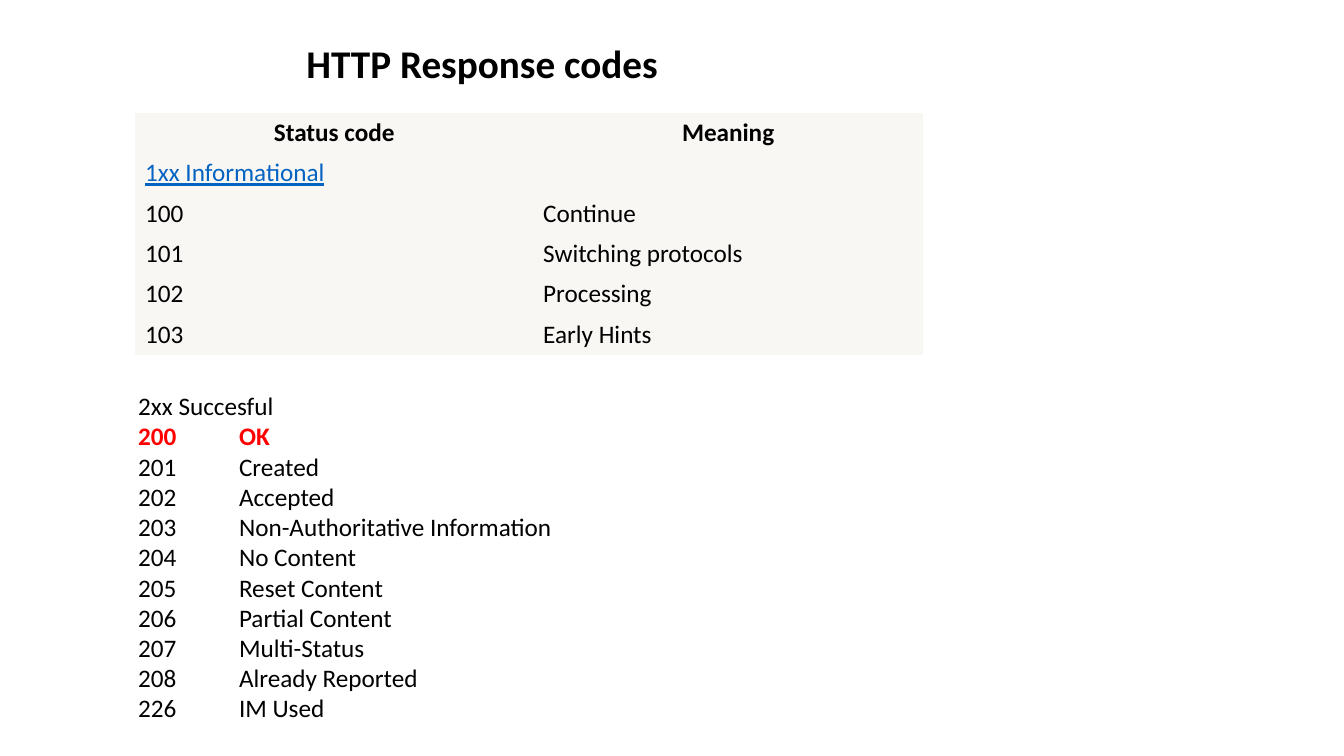
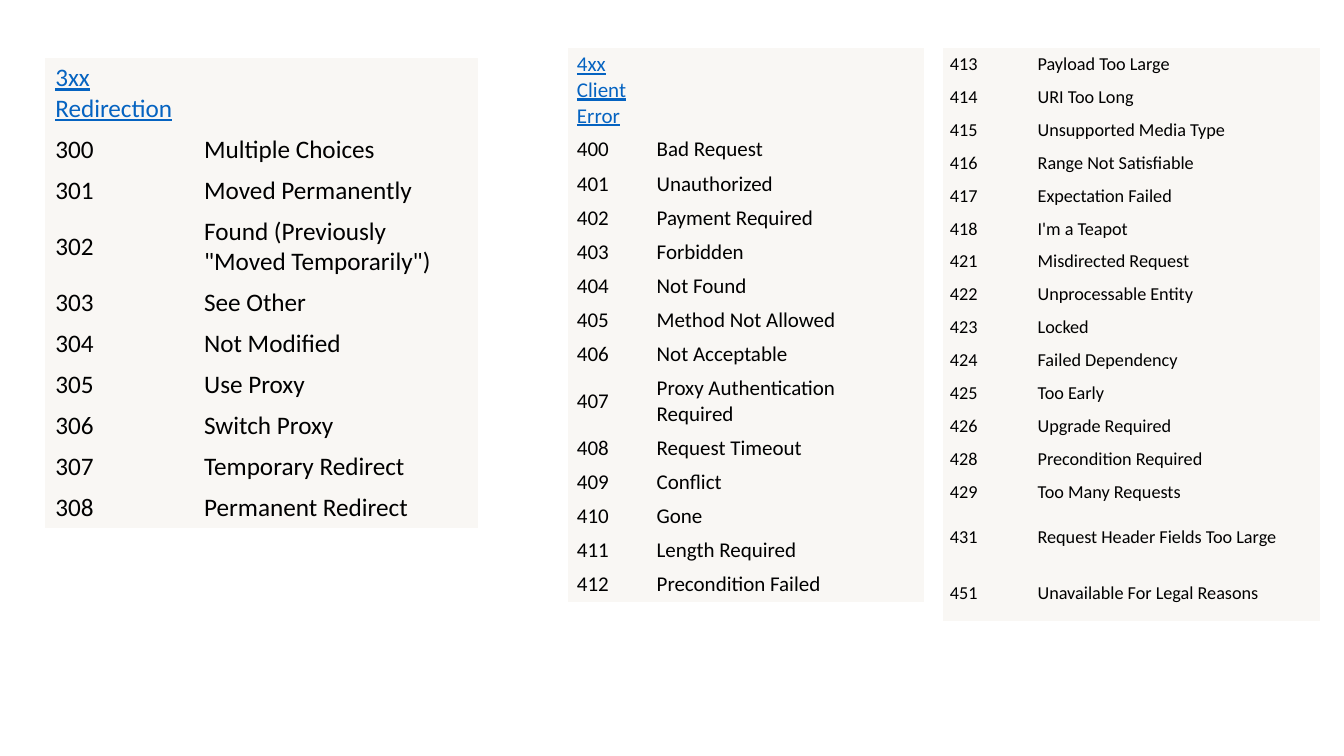
"""Builds two slides that list the HTTP response codes."""
from lxml import etree
from pptx import Presentation
from pptx.dml.color import RGBColor
from pptx.enum.text import MSO_ANCHOR, MSO_AUTO_SIZE, PP_ALIGN
from pptx.oxml.ns import qn
from pptx.util import Cm, Pt

TOP, MIDDLE = MSO_ANCHOR.TOP, MSO_ANCHOR.MIDDLE
LEFT, CENTER = PP_ALIGN.LEFT, PP_ALIGN.CENTER
NO_FIT = MSO_AUTO_SIZE.NONE
FONT = "Calibri"
COLORS = {"text": "000000", "link": "0563C1", "alert": "FF0000", "cell": "F9F7F4"}
PLAIN_STYLE = "{2D5ABB26-0587-4C30-8999-92F81FD0307C}"

INFO = [
    ("Status code", "Meaning"),
    ("1xx Informational", ""),
    ("100", "Continue"),
    ("101", "Switching protocols"),
    ("102", "Processing"),
    ("103", "Early Hints"),
]
SUCCESS = [
    ("200", "OK"),
    ("201", "Created"),
    ("202", "Accepted"),
    ("203", "Non-Authoritative Information"),
    ("204", "No Content"),
    ("205", "Reset Content"),
    ("206", "Partial Content"),
    ("207", "Multi-Status"),
    ("208", "Already Reported"),
    ("226", "IM Used"),
]
REDIRECT = [
    ("3xx Redirection", ""),
    ("300", "Multiple Choices"),
    ("301", "Moved Permanently"),
    ("302", 'Found (Previously "Moved Temporarily")'),
    ("303", "See Other"),
    ("304", "Not Modified"),
    ("305", "Use Proxy"),
    ("306", "Switch Proxy"),
    ("307", "Temporary Redirect"),
    ("308", "Permanent Redirect"),
]
CLIENT = [
    ("4xx Client Error", ""),
    ("400", "Bad Request"),
    ("401", "Unauthorized"),
    ("402", "Payment Required"),
    ("403", "Forbidden"),
    ("404", "Not Found"),
    ("405", "Method Not Allowed"),
    ("406", "Not Acceptable"),
    ("407", "Proxy Authentication Required"),
    ("408", "Request Timeout"),
    ("409", "Conflict"),
    ("410", "Gone"),
    ("411", "Length Required"),
    ("412", "Precondition Failed"),
]
CLIENT_MORE = [
    ("413", "Payload Too Large"),
    ("414", "URI Too Long"),
    ("415", "Unsupported Media Type"),
    ("416", "Range Not Satisfiable"),
    ("417", "Expectation Failed"),
    ("418", "I'm a Teapot"),
    ("421", "Misdirected Request"),
    ("422", "Unprocessable Entity"),
    ("423", "Locked"),
    ("424", "Failed Dependency"),
    ("425", "Too Early"),
    ("426", "Upgrade Required"),
    ("428", "Precondition Required"),
    ("429", "Too Many Requests"),
    ("431", "Request Header Fields Too Large"),
    ("451", "Unavailable For Legal Reasons"),
]


def add_run(para, text, size=18, color="text", bold=False, line=False):
    """Add one formatted run to a paragraph."""
    run = para.add_run()
    run.text = text
    font = run.font
    font.name, font.size, font.bold, font.underline = FONT, Pt(size), bold, line
    font.color.rgb = RGBColor.from_string(COLORS[color])


def place(shape, left, top, width, height, anchor):
    """Move a placeholder, in centimetres, and return its text frame."""
    shape.left, shape.top = Cm(left), Cm(top)
    shape.width, shape.height = Cm(width), Cm(height)
    frame = shape.text_frame
    frame.auto_size, frame.vertical_anchor = NO_FIT, anchor
    frame.word_wrap = True
    return frame


def set_tab(para, stop):
    """Drop the bullet and indent, and set the tab stop."""
    para.space_before = Pt(0)
    pos = str(int(Cm(stop)))
    props = para._p.get_or_add_pPr()
    for name, value in (("marL", "0"), ("indent", "0"), ("defTabSz", pos)):
        props.set(name, value)
    etree.SubElement(props, qn("a:buNone"))
    tabs = etree.SubElement(props, qn("a:tabLst"))
    etree.SubElement(tabs, qn("a:tab"), pos=pos, algn="l")


def add_title(slide, text):
    """Fill the title placeholder."""
    para = place(slide.shapes.title, 7.47, 0.86, 17.25, 1.45, MIDDLE).paragraphs[0]
    para.alignment = LEFT
    add_run(para, text, size=28, bold=True)


def add_list(slide, head, rows, alert):
    """Fill the body placeholder with codes, one of them stressed."""
    frame = place(slide.placeholders[1], 3.23, 9.71, 11.28, 8.74, TOP)
    for i, row in enumerate([(head,), *rows]):
        para = frame.add_paragraph() if i else frame.paragraphs[0]
        set_tab(para, 2.54)
        hot = row[0] == alert
        add_run(para, "\t".join(row), color="alert" if hot else "text", bold=hot)


def add_codes(slide, rows, left, top, widths, heights, size=18, pad=None, head=False):
    """Add a plain two-column table of codes, with lengths in centimetres."""
    shape = slide.shapes.add_table(len(rows), len(widths), Cm(left), Cm(top),
                                   Cm(sum(widths)), Cm(sum(heights)))
    next(shape._element.iter(qn("a:tableStyleId"))).text = PLAIN_STYLE
    table = shape.table
    table.first_row, table.horz_banding = head, False
    for col, width in zip(table.columns, widths):
        col.width = Cm(width)
    for i, (row, height) in enumerate(zip(rows, heights)):
        table.rows[i].height = Cm(height)
        for j, text in enumerate(row):
            fill_cell(table.cell(i, j), text, size, pad, head and i == 0, "xx " in text)


def fill_cell(cell, text, size, pad, head, link):
    """Fill, pad and write one table cell."""
    cell.fill.solid()
    cell.fill.fore_color.rgb = RGBColor.from_string(COLORS["cell"])
    cell.vertical_anchor = MIDDLE
    if pad:
        cell.margin_left = cell.margin_right = Cm(pad[0])
        cell.margin_top = cell.margin_bottom = Cm(pad[1])
    if text:
        para = cell.text_frame.paragraphs[0]
        para.alignment = CENTER if head else LEFT
        add_run(para, text, size, "link" if link else "text", head, link)


def main():
    """Build and save the deck."""
    deck = Presentation()
    deck.slide_width, deck.slide_height = Cm(33.87), Cm(19.05)

    slide = deck.slides.add_slide(deck.slide_layouts[1])
    add_title(slide, "HTTP Response codes")
    add_codes(slide, INFO, 3.41, 2.84, (10.03, 9.82), [1] * len(INFO),
              pad=(0.25, 0.12), head=True)
    add_list(slide, "2xx Succesful", SUCCESS, "200")

    slide = deck.slides.add_slide(deck.slide_layouts[6])
    add_codes(slide, REDIRECT, 1.14, 1.45, (3.75, 7.15), [1.02] * len(REDIRECT))
    add_codes(slide, CLIENT, 14.32, 1.2, (2.01, 6.96), [0.86] * len(CLIENT),
              size=15, pad=(0.22, 0.1))
    add_codes(slide, CLIENT_MORE, 23.76, 1.2, (2.21, 7.29),
              [0.83] * (len(CLIENT_MORE) - 2) + [1.42] * 2, size=13, pad=(0.18, 0.1))

    deck.save("out.pptx")


if __name__ == "__main__":
    main()
